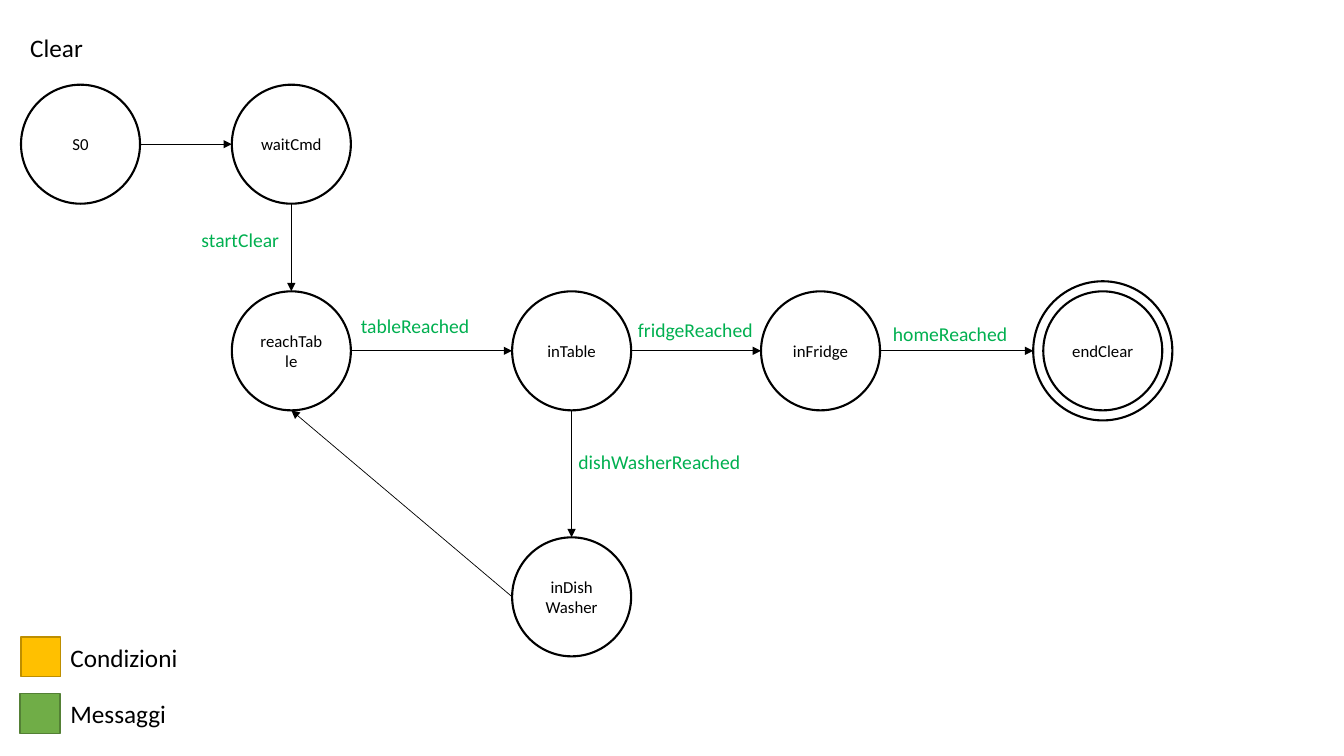
"""Build the Clear state machine slide with its states, transitions and legend."""
import lxml.etree
import pptx
import pptx.dml.color
import pptx.enum.shapes
import pptx.enum.text
import pptx.oxml.ns
import pptx.util

Pt = pptx.util.Pt
RGBColor = pptx.dml.color.RGBColor
SHAPE = pptx.enum.shapes.MSO_SHAPE
ALIGN = pptx.enum.text.PP_ALIGN
ANCHOR = pptx.enum.text.MSO_ANCHOR

BLACK = RGBColor(0x00, 0x00, 0x00)
WHITE = RGBColor(0xFF, 0xFF, 0xFF)
MESSAGE_GREEN = RGBColor(0x00, 0xB0, 0x50)
AMBER = RGBColor(0xFF, 0xC0, 0x00)
DARK_AMBER = RGBColor(0xBD, 0x8E, 0x00)
GREEN = RGBColor(0x70, 0xAD, 0x47)
DARK_GREEN = RGBColor(0x53, 0x80, 0x35)

STATE_SIZE = 85
RING_GAP = 7.2
ROW_TOPS = (60.5, 208.1, 383.8)
SITES = {"top": (0, 0.5, 0), "left": (2, 0, 0.5),
         "bottom": (4, 0.5, 1), "right": (6, 1, 0.5)}

STATES = {
    "S0": (15, 0, "S0"),
    "waitCmd": (165.6, 0, "waitCmd"),
    "reachTable": (165.6, 1, "reachTable"),
    "inTable": (365.8, 1, "inTable"),
    "inFridge": (543.6, 1, "inFridge"),
    "endClear": (745.2, 1, "endClear"),
    "inDishWasher": (365.8, 2, "inDish\nWasher"),
}
TRANSITIONS = [
    ("S0", "right", "waitCmd", "left"),
    ("waitCmd", "bottom", "reachTable", "top"),
    ("reachTable", "right", "inTable", "left"),
    ("inTable", "right", "inFridge", "left"),
    ("inTable", "bottom", "inDishWasher", "top"),
    ("inFridge", "right", "endRing", "left"),
    ("inDishWasher", "left", "reachTable", "bottom"),
]
MESSAGES = [
    ("startClear", 136.8, 159.1, 70.6),
    ("tableReached", 250.6, 221, 92.9),
    ("fridgeReached", 448.6, 223.9, 97.2),
    ("homeReached", 630.7, 226.1, 97.2),
    ("dishWasherReached", 406.1, 318.2, 131.8),
]
LEGEND = [
    ("Condizioni", 15, 455, 92.2, AMBER, DARK_AMBER),
    ("Messaggi", 14.4, 495.4, 83.5, GREEN, DARK_GREEN),
]


def write_text(box, text, size, color, frame_format, align):
    """Fill a box with formatted text, one paragraph per line."""
    frame = box.text_frame
    for name, value in frame_format.items():
        setattr(frame, name, value)
    frame.text = text
    font_format = {"name": "Calibri", "size": Pt(size)}
    for para in frame.paragraphs:
        para.alignment = align
        for span in para.runs:
            for name, value in font_format.items():
                setattr(span.font, name, value)
            span.font.color.rgb = color


def write_line_of_text(box, text, size, color):
    """Write unwrapped text from the top left of a box."""
    frame_format = {"word_wrap": False, "vertical_anchor": ANCHOR.TOP,
                    "auto_size": pptx.enum.text.MSO_AUTO_SIZE.SHAPE_TO_FIT_TEXT}
    write_text(box, text, size, color, frame_format, ALIGN.LEFT)


def add_label(page, text, left, top, width, height, size, color):
    """Add a one-line text box."""
    box = page.shapes.add_textbox(Pt(left), Pt(top), Pt(width), Pt(height))
    write_line_of_text(box, text, size, color)


def add_outlined(page, kind, left, top, size, fill, line, weight):
    """Add a filled shape as wide as it is tall."""
    shape = page.shapes.add_shape(kind, Pt(left), Pt(top), Pt(size), Pt(size))
    shape.shadow.inherit = False
    shape.fill.solid()
    shape.fill.fore_color.rgb = fill
    shape.line.color.rgb = line
    shape.line.width = Pt(weight)
    return shape


def add_circle(page, left, top, size):
    """Add a white circle with a black outline."""
    return add_outlined(page, SHAPE.OVAL, left, top, size, WHITE, BLACK, 1.5)


def add_state(page, left, row, text):
    """Add a state circle with its centred name."""
    circle = add_circle(page, left, ROW_TOPS[row], STATE_SIZE)
    frame_format = {"word_wrap": True, "vertical_anchor": ANCHOR.MIDDLE}
    write_text(circle, text, 12, BLACK, frame_format, ALIGN.CENTER)
    return circle


def site_point(circle, side):
    """Return the point in the middle of one side of a circle."""
    _, across, down = SITES[side]
    return (round(circle.left + across * circle.width),
            round(circle.top + down * circle.height))


def add_transition(page, source, source_side, target, target_side):
    """Add an arrow that is attached to two circles."""
    arrow = page.shapes.add_connector(
        pptx.enum.shapes.MSO_CONNECTOR.STRAIGHT,
        *site_point(source, source_side), *site_point(target, target_side))
    arrow.line.color.rgb = BLACK
    arrow.line.width = Pt(0.5)
    qn = pptx.oxml.ns.qn
    ends = (("a:stCxn", source, source_side), ("a:endCxn", target, target_side))
    for tag, circle, side in ends:
        lxml.etree.SubElement(arrow._element.nvCxnSpPr.cNvCxnSpPr, qn(tag),
                              id=str(circle.shape_id), idx=str(SITES[side][0]))
    properties = arrow._element.spPr
    lxml.etree.SubElement(properties.find(qn("a:ln")), qn("a:tailEnd"), type="triangle")
    lxml.etree.SubElement(properties, qn("a:effectLst"))


def place_title(page, text):
    """Move and format the title placeholder."""
    title = page.shapes.title
    place = {"left": Pt(14.4), "top": Pt(19.4), "width": Pt(52.6), "height": Pt(29)}
    for name, value in place.items():
        setattr(title, name, value)
    write_line_of_text(title, text, 18, BLACK)


def main():
    """Build the deck and save it."""
    deck = pptx.Presentation()
    deck.slide_width, deck.slide_height = Pt(960), Pt(540)
    page = deck.slides.add_slide(deck.slide_layouts.get_by_name("Title Only"))
    place_title(page, "Clear")
    for text, left, top, width, fill, line in LEGEND:
        add_outlined(page, SHAPE.RECTANGLE, left, top, 28.4, fill, line, 1)
        add_label(page, text, 43.2, top, width, 29, 18, BLACK)
    end_left, end_row, _ = STATES["endClear"]
    circles = {"endRing": add_circle(page, end_left - RING_GAP, ROW_TOPS[end_row] - RING_GAP,
                                     STATE_SIZE + 2 * RING_GAP)}
    for name, state in STATES.items():
        circles[name] = add_state(page, *state)
    for source, source_side, target, target_side in TRANSITIONS:
        add_transition(page, circles[source], source_side, circles[target], target_side)
    for text, left, top, width in MESSAGES:
        add_label(page, text, left, top, width, 24.2, 14, MESSAGE_GREEN)
    deck.save("out.pptx")


if __name__ == "__main__":
    main()
